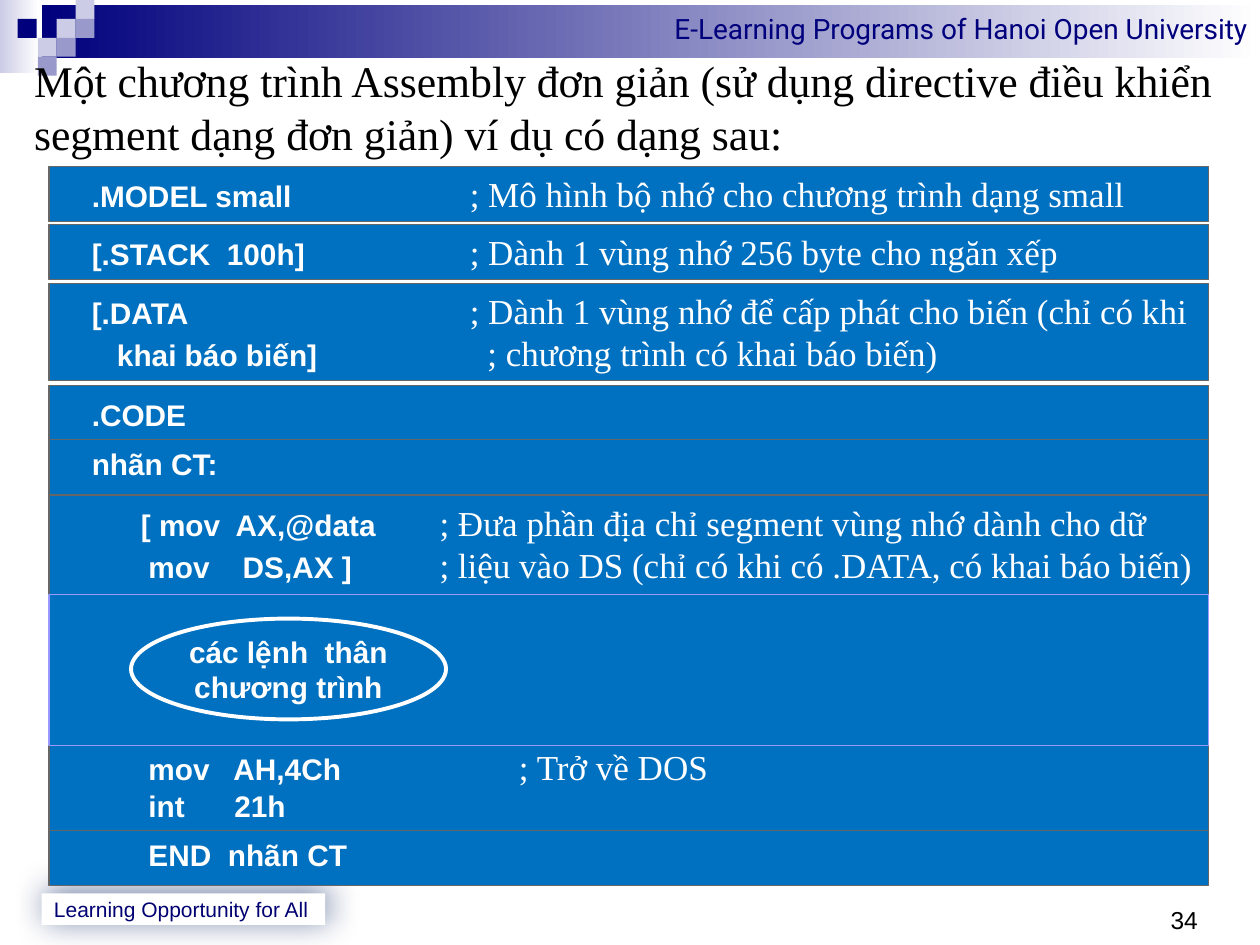
from dataclasses import dataclass

from lxml.etree import SubElement
from pptx import Presentation
from pptx.dml.color import RGBColor
from pptx.enum.shapes import MSO_SHAPE as Shape
from pptx.enum.text import MSO_ANCHOR as Anchor, MSO_AUTO_SIZE as AutoSize, PP_ALIGN as Align
from pptx.oxml.ns import qn
from pptx.util import Inches, Pt


@dataclass(frozen=True)
class Theme:
    navy: str = "00007D"
    footer: str = "000072"
    shadow: str = "002060"
    lilac: str = "CCCCE6"
    violet: str = "9999CC"
    frame: str = "9999FF"
    blue: str = "0070C0"
    gray: str = "666666"
    white: str = "FFFFFF"
    black: str = "000000"
    sans: str = "Arial"
    narrow: str = "Arial Narrow"
    serif: str = "Times New Roman"
    header_font: str = "Roboto"
    title_size: int = 25
    comment_size: int = 20
    code_size: int = 17
    header_size: int = 16
    number_size: int = 14
    footer_size: int = 12


@dataclass(frozen=True)
class Line:
    code: str
    comment: str = ""
    indent: float = 0.24
    column: float = 3.24


@dataclass(frozen=True)
class Row:
    top: float
    height: float
    lines: tuple[Line, ...] = ()
    border: str = Theme.gray
    inset: float = 0.05


T = Theme()
ROW_LEFT, ROW_WIDTH = 0.39, 9.2
SQUARE = 0.15

SQUARES = (
    (0.45, 0.15, T.lilac), (0.6, 0, T.lilac), (0.6, 0.15, T.violet),
    (0.3, 0.3, T.lilac), (0.14, 0.15, T.navy), (0.45, 0.3, T.violet),
    (0.3, 0.45, T.violet),
)

ROWS = (
    Row(5.87, 0.72, (Line("mov   AH,4Ch", "; Trở về DOS", 0.69, 3.63),
                     Line("int      21h", indent=0.69))),
    Row(1.32, 0.44, (Line(".MODEL small", "; Mô hình bộ nhớ cho chương trình dạng small"),)),
    Row(1.78, 0.44, (Line("[.STACK  100h]", "; Dành 1 vùng nhớ 256 byte cho ngăn xếp"),)),
    Row(2.25, 0.77, (Line("[.DATA", "; Dành 1 vùng nhớ để cấp phát cho biến (chỉ có khi"),
                     Line("khai báo biến]", "; chương trình có khai báo biến)", 0.44, 3.38))),
    Row(3.06, 0.44, (Line(".CODE"),), inset=0.09),
    Row(3.49, 0.44, (Line("nhãn CT:"),)),
    Row(3.93, 0.8, (
        Line("[ mov  AX,@data", "; Đưa phần địa chỉ segment vùng nhớ dành cho dữ", 0.63, 3),
        Line("mov    DS,AX ]", "; liệu vào DS (chỉ có khi có .DATA, có khai báo biến)", 0.69, 3))),
    Row(4.72, 1.2, border=T.frame),
    Row(6.59, 0.44, (Line("END  nhãn CT", indent=0.69),)),
)


def rgb(color: str) -> RGBColor:
    return RGBColor.from_string(color)


def add_text(p, text: str, *, size: float, font: str = T.sans, color: str = T.white,
             bold: bool = False, align=Align.LEFT):
    p.alignment = align
    r = p.add_run()
    r.text = text
    r.font.size, r.font.name, r.font.bold = Pt(size), font, bold
    r.font.color.rgb = rgb(color)


def set_frame(tf, *, anchor=Anchor.TOP, wrap: bool = True, x: float = 0.1, y: float = 0.05):
    tf.word_wrap, tf.auto_size, tf.vertical_anchor = wrap, AutoSize.NONE, anchor
    tf.margin_left = tf.margin_right = Inches(x)
    tf.margin_top = tf.margin_bottom = Inches(y)


def add_box(slide, left: float, top: float, width: float, height: float, fill: str, *,
            fade_to: str = "", border: str = "", border_width: float = 0.75,
            kind=Shape.RECTANGLE):
    sp = slide.shapes.add_shape(kind, Inches(left), Inches(top), Inches(width), Inches(height))
    sp.shadow.inherit = False
    if fade_to:
        sp.fill.gradient()
        sp.fill.gradient_angle = 0
        for stop, color in zip(sp.fill.gradient_stops, (fill, fade_to)):
            stop.color.rgb = rgb(color)
    else:
        sp.fill.solid()
        sp.fill.fore_color.rgb = rgb(fill)
    if border:
        sp.line.color.rgb = rgb(border)
        sp.line.width = Pt(border_width)
    else:
        sp.line.fill.background()
    return sp


def add_shadow(sp, color: str):
    effects = sp._element.spPr.find(qn("a:effectLst"))
    outer = SubElement(effects, qn("a:outerShdw"), blurRad=str(Pt(19)), dist=str(Pt(3)),
                       dir=str(315 * 60000), algn="ctr", rotWithShape="0")
    clr = SubElement(outer, qn("a:srgbClr"), val=color)
    SubElement(clr, qn("a:alpha"), val="56000")


def add_line(p, line: Line):
    """Write code at its indent and its comment at a tab stop counted from that indent."""
    pPr = p._p.get_or_add_pPr()
    pPr.set("marL", str(Inches(line.indent)))
    pPr.set("indent", "0")
    if line.comment:
        stop = str(Inches(line.column - line.indent))
        # The default distance matches the stop, so no inherited stop comes before it.
        pPr.set("defTabSz", stop)
        tabs = SubElement(pPr, qn("a:tabLst"))
        SubElement(tabs, qn("a:tab"), pos=stop, algn="l")
    add_text(p, line.code, size=T.code_size, bold=True)
    if line.comment:
        add_text(p, "\t", size=T.comment_size, font=T.narrow, bold=True)
        add_text(p, line.comment, size=T.comment_size, font=T.serif)


def add_row(slide, row: Row):
    sp = add_box(slide, ROW_LEFT, row.top, ROW_WIDTH, row.height, T.blue, border=row.border)
    tf = sp.text_frame
    set_frame(tf, y=row.inset)
    for i, line in enumerate(row.lines):
        add_line(tf.add_paragraph() if i else tf.paragraphs[0], line)


def add_header(slide):
    add_box(slide, 0, 0, 0.31, 0.58, T.lilac, fade_to=T.white)
    sp = add_box(slide, 0.33, 0.04, 9.67, 0.42, T.navy, fade_to=T.white)
    set_frame(sp.text_frame)
    add_text(sp.text_frame.paragraphs[0], "E-Learning Programs of Hanoi Open University",
             size=T.header_size, font=T.header_font, color=T.navy, align=Align.RIGHT)
    for left, top, color in SQUARES:
        add_box(slide, left, top, SQUARE, SQUARE, color)


def add_footer(slide):
    sp = add_box(slide, 0.33, 7.09, 2.25, 0.25, T.white)
    add_shadow(sp, T.shadow)
    set_frame(sp.text_frame, anchor=Anchor.MIDDLE)
    add_text(sp.text_frame.paragraphs[0], "Learning Opportunity for All",
             size=T.footer_size, color=T.footer)
    number = slide.shapes.add_textbox(Inches(9.29), Inches(7.13), Inches(0.3), Inches(0.3))
    set_frame(number.text_frame, x=0)
    add_text(number.text_frame.paragraphs[0], "34", size=T.number_size, color=T.black)


def set_title(slide, text: str):
    sp = slide.shapes.title
    sp.left, sp.top, sp.width, sp.height = map(Inches, (0.17, 0.38, 9.68, 0.95))
    set_frame(sp.text_frame)
    add_text(sp.text_frame.paragraphs[0], text, size=T.title_size, font=T.serif, color=T.black)
    slide.shapes._spTree.append(sp._element)


def main():
    prs = Presentation()
    prs.slide_width, prs.slide_height = Inches(10), Inches(7.5)
    slide = prs.slides.add_slide(prs.slide_layouts[5])
    add_header(slide)
    add_footer(slide)
    set_title(slide, "Một chương trình Assembly đơn giản (sử dụng directive điều khiển "
                     "segment dạng đơn giản) ví dụ có dạng sau:")
    for row in ROWS:
        add_row(slide, row)
    oval = add_box(slide, 1.04, 4.91, 2.5, 0.8, T.blue, border=T.white, border_width=2.25,
                   kind=Shape.OVAL)
    set_frame(oval.text_frame, anchor=Anchor.MIDDLE, x=0, y=0)
    add_text(oval.text_frame.paragraphs[0], "các lệnh  thân chương trình",
             size=T.code_size, bold=True, align=Align.CENTER)
    prs.save("out.pptx")


if __name__ == "__main__":
    main()
